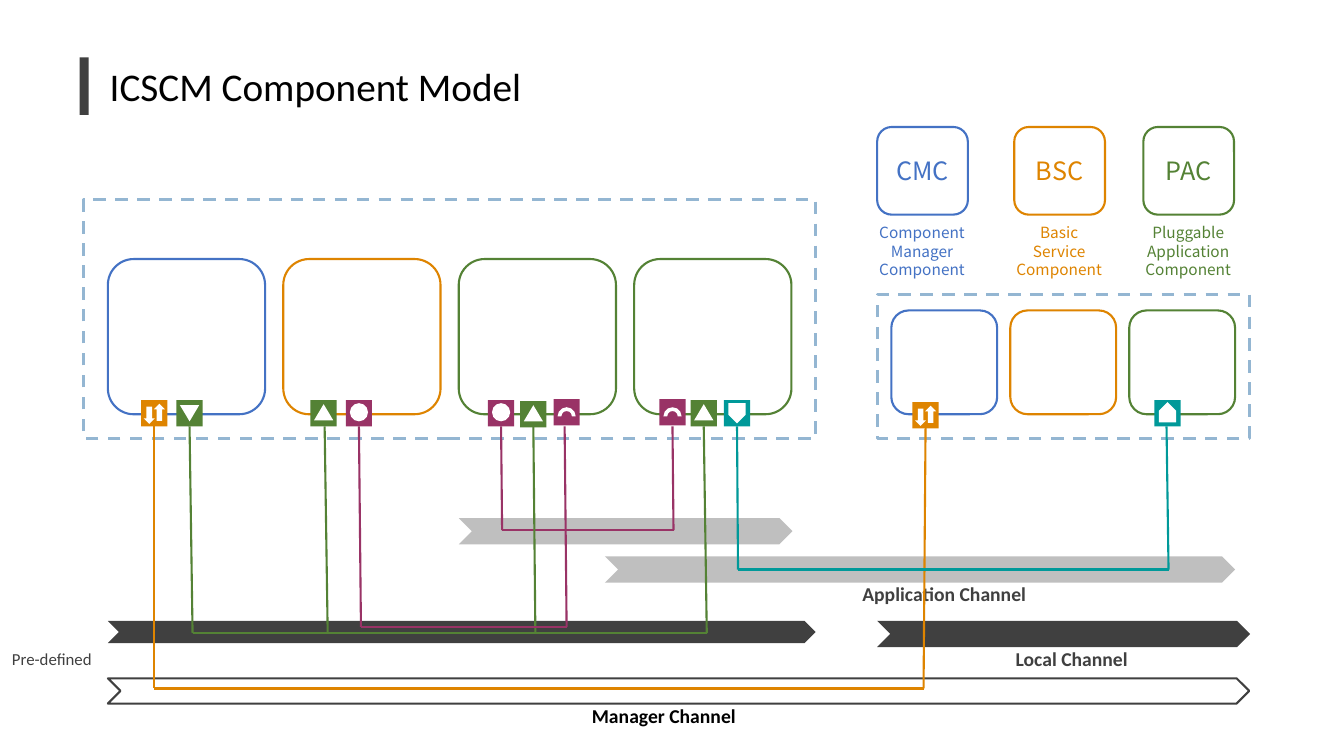
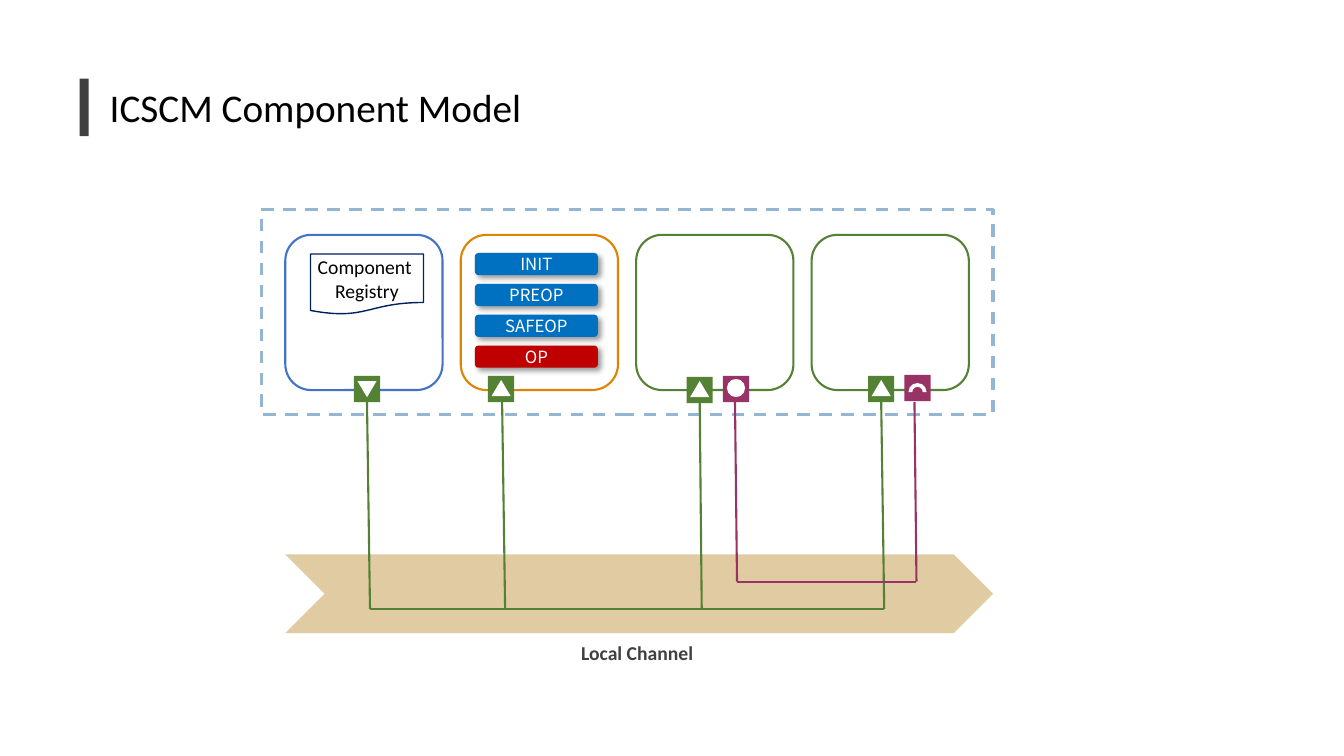
from dataclasses import dataclass
from typing import Optional

from lxml import etree
from pptx import Presentation
from pptx.dml.color import RGBColor
from pptx.enum.dml import MSO_LINE
from pptx.enum.shapes import MSO_CONNECTOR, MSO_SHAPE
from pptx.enum.text import MSO_ANCHOR, PP_ALIGN
from pptx.oxml.ns import qn
from pptx.util import Inches, Pt

RECT = MSO_SHAPE.RECTANGLE
ROUND = MSO_SHAPE.ROUNDED_RECTANGLE
CHEVRON = MSO_SHAPE.CHEVRON
TRIANGLE = MSO_SHAPE.ISOSCELES_TRIANGLE
OVAL = MSO_SHAPE.OVAL
ARC = MSO_SHAPE.BLOCK_ARC
ARROW = MSO_SHAPE.RIGHT_ARROW
PENTAGON = MSO_SHAPE.PENTAGON
DOCUMENT = MSO_SHAPE.FLOWCHART_DOCUMENT
STRAIGHT = MSO_CONNECTOR.STRAIGHT
DASH = MSO_LINE.DASH
LEFT, CENTER = PP_ALIGN.LEFT, PP_ALIGN.CENTER
TOP, MIDDLE = MSO_ANCHOR.TOP, MSO_ANCHOR.MIDDLE

BLUE = RGBColor(0x44, 0x72, 0xC4)
ORANGE = RGBColor(0xDE, 0x84, 0x00)
GREEN = RGBColor(0x54, 0x82, 0x35)
PLUM = RGBColor(0x99, 0x33, 0x66)
TEAL = RGBColor(0x00, 0x99, 0x99)
PALE_BLUE = RGBColor(0x94, 0xB6, 0xD2)
DARK = RGBColor(0x40, 0x40, 0x40)
GREY = RGBColor(0xBF, 0xBF, 0xBF)
SAND = RGBColor(0xE0, 0xCB, 0xA3)
NAVY = RGBColor(0x00, 0x20, 0x60)
STATE_BLUE = RGBColor(0x00, 0x70, 0xC0)
STATE_RED = RGBColor(0xC0, 0x00, 0x00)
BLACK = RGBColor(0x00, 0x00, 0x00)
WHITE = RGBColor(0xFF, 0xFF, 0xFF)

CELL = Inches(0.1)
BODY, LABEL = "Calibri", "Noto Sans CJK SC"
PORT_SIZE = 2.6


@dataclass(frozen=True)
class Box:
    x: float
    y: float
    w: float
    h: float


@dataclass(frozen=True)
class Font:
    size: float
    color: RGBColor
    name: str = BODY
    bold: bool = False


@dataclass(frozen=True)
class Glyph:
    shape: int
    w: float
    h: float
    dx: float = 0
    dy: float = 0
    turn: int = 0
    adjust: tuple[float, ...] = ()


@dataclass(frozen=True)
class PortKind:
    color: RGBColor
    glyphs: tuple[Glyph, ...]


@dataclass(frozen=True)
class Port:
    kind: PortKind
    x: float
    y: float


@dataclass(frozen=True)
class Wire:
    color: RGBColor
    top: float
    bus: float
    stems: tuple[tuple[float, float], ...]


@dataclass(frozen=True)
class Channel:
    box: Box
    fill: Optional[RGBColor]


@dataclass(frozen=True)
class Caption:
    text: str
    box: Box
    font: Font


@dataclass(frozen=True)
class Legend:
    code: str
    words: tuple[str, ...]
    x: float
    color: RGBColor


@dataclass(frozen=True)
class State:
    name: str
    color: RGBColor


SWAP = PortKind(ORANGE, (Glyph(ARROW, 1.7, 1.1, -0.5, 0.2, 90), Glyph(ARROW, 1.7, 1.1, 0.5, -0.1, 270)))
DOWN = PortKind(GREEN, (Glyph(TRIANGLE, 1.9, 1.6, turn=180),))
UP = PortKind(GREEN, (Glyph(TRIANGLE, 1.9, 1.6, dy=-0.1),))
BALL = PortKind(PLUM, (Glyph(OVAL, 1.8, 1.8, dy=-0.1),))
SOCKET = PortKind(PLUM, (Glyph(ARC, 1.8, 1.8, dy=0.4, adjust=(108, 216, 0.21)),))
SEND = PortKind(TEAL, (Glyph(PENTAGON, 2, 1.7, turn=90),))
RECEIVE = PortKind(TEAL, (Glyph(PENTAGON, 2, 1.7, dy=-0.1, turn=270),))

CARD_COLORS = (BLUE, ORANGE, GREEN, GREEN)
CHANNEL_FONT = Font(14, DARK, bold=True)


def add_shape(s, kind: int, box: Box, fill: Optional[RGBColor] = None,
              line: Optional[RGBColor] = None, width: float = 1.5):
    sp = s.shapes.add_shape(kind, *(round(v * CELL) for v in (box.x, box.y, box.w, box.h)))
    sp.shadow.inherit = False
    if fill is None:
        sp.fill.background()
    else:
        sp.fill.solid()
        sp.fill.fore_color.rgb = fill
    if line is None:
        sp.line.fill.background()
    else:
        sp.line.color.rgb = line
        sp.line.width = Pt(width)
    return sp


def write(sp, lines: tuple[str, ...], font: Font, align=CENTER, anchor=TOP,
          wrap: bool = True, spacing: Optional[float] = None) -> None:
    tf = sp.text_frame
    tf.word_wrap = wrap
    tf.vertical_anchor = anchor
    for i, line in enumerate(lines):
        p = tf.paragraphs[0] if i == 0 else tf.add_paragraph()
        p.alignment = align
        if spacing:
            p.line_spacing = Pt(spacing)
        r = p.add_run()
        r.text = line
        r.font.size = Pt(font.size)
        r.font.name = font.name
        r.font.bold = font.bold
        r.font.color.rgb = font.color


def add_text(s, box: Box, lines: tuple[str, ...], font: Font, **layout) -> None:
    sp = s.shapes.add_textbox(*(round(v * CELL) for v in (box.x, box.y, box.w, box.h)))
    write(sp, lines, font, **layout)


def add_title(s, row: float) -> None:
    add_text(s, Box(9.9, row, 50, 5.7), ("ICSCM Component Model",), Font(28, BLACK), align=LEFT)
    add_shape(s, RECT, Box(7.9, row, 0.9, 5.7), fill=DARK)


def add_frame(s, box: Box) -> None:
    add_shape(s, RECT, box, line=PALE_BLUE, width=2.25).line.dash_style = DASH


def add_cards(s, first: Box, pitch: float, colors: tuple[RGBColor, ...]) -> None:
    for i, color in enumerate(colors):
        add_shape(s, ROUND, Box(first.x + i * pitch, first.y, first.w, first.h), line=color)


def add_channel(s, channel: Channel) -> None:
    outline = DARK if channel.fill is None else None
    add_shape(s, CHEVRON, channel.box, channel.fill, outline)


def add_caption(s, caption: Caption) -> None:
    add_text(s, caption.box, (caption.text,), caption.font, wrap=False)


def add_line(s, x1: float, y1: float, x2: float, y2: float, color: RGBColor) -> None:
    c = s.shapes.add_connector(STRAIGHT, *(round(v * CELL) for v in (x1, y1, x2, y2)))
    c.line.color.rgb = color
    c.line.width = Pt(1.5)
    etree.SubElement(c._element.spPr, qn("a:effectLst"))


def add_wire(s, wire: Wire) -> None:
    for head, foot in wire.stems:
        add_line(s, head, wire.top, foot, wire.bus, wire.color)
    add_line(s, wire.stems[0][1], wire.bus, wire.stems[-1][1], wire.bus, wire.color)


def add_port(s, port: Port) -> None:
    add_shape(s, RECT, Box(port.x, port.y, PORT_SIZE, PORT_SIZE), fill=port.kind.color)
    cx, cy = port.x + PORT_SIZE / 2, port.y + PORT_SIZE / 2
    for g in port.kind.glyphs:
        sp = add_shape(s, g.shape, Box(cx + g.dx - g.w / 2, cy + g.dy - g.h / 2, g.w, g.h), fill=WHITE)
        sp.rotation = g.turn
        for i, value in enumerate(g.adjust):
            sp.adjustments[i] = value


def add_legend(s, legend: Legend) -> None:
    sp = add_shape(s, ROUND, Box(legend.x, 12.6, 9, 8.7), line=legend.color)
    write(sp, (legend.code,), Font(18, legend.color, LABEL), anchor=MIDDLE)
    add_text(s, Box(legend.x - 1.5, 21.6, 11.9, 6.6), legend.words,
             Font(11, legend.color, LABEL), spacing=13.4)


def add_state(s, state: State, row: float) -> None:
    sp = add_shape(s, ROUND, Box(47.1, row, 12.2, 2.2), fill=state.color)
    effects = sp._element.spPr.find(qn("a:effectLst"))
    shadow = etree.SubElement(effects, qn("a:outerShdw"), blurRad=str(Pt(4)), dist=str(Pt(3)),
                              dir="2700000", algn="tl", rotWithShape="0")
    tint = etree.SubElement(shadow, qn("a:srgbClr"), val=str(BLACK))
    etree.SubElement(tint, qn("a:alpha"), val="40000")
    write(sp, (state.name,), Font(12, WHITE, LABEL), anchor=MIDDLE)


def add_network(s, channels: tuple[Channel, ...], captions: tuple[Caption, ...],
                wires: tuple[Wire, ...], ports: tuple[Port, ...]) -> None:
    for draw, items in ((add_channel, channels), (add_caption, captions),
                        (add_wire, wires), (add_port, ports)):
        for item in items:
            draw(s, item)


def build_overview(s) -> None:
    add_title(s, 5.7)
    add_frame(s, Box(8.3, 19.8, 72.6, 23.7))
    add_frame(s, Box(87, 29.2, 36.9, 14.3))
    add_cards(s, Box(10.7, 25.7, 15.6, 15.4), 17.4, CARD_COLORS)
    add_cards(s, Box(88.4, 30.8, 10.5, 10.3), 11.8, CARD_COLORS[:3])
    for legend in (Legend("CMC", ("Component", "Manager", "Component"), 87, BLUE),
                   Legend("BSC", ("Basic", "Service", "Component"), 100.6, ORANGE),
                   Legend("PAC", ("Pluggable", "Application", "Component"), 113.4, GREEN)):
        add_legend(s, legend)
    add_network(
        s,
        (Channel(Box(10.7, 67.3, 113.2, 2.5), None),
         Channel(Box(45.5, 51.4, 33.1, 2.6), GREY),
         Channel(Box(60, 55.2, 62.5, 2.6), GREY),
         Channel(Box(10.7, 61.6, 70.2, 2.2), DARK),
         Channel(Box(87, 61.6, 37, 2.6), DARK)),
        (Caption("Manager Channel", Box(57, 69.3, 17.7, 3.4), Font(14, BLACK, bold=True)),
         Caption("Application Channel", Box(83.7, 57.2, 19.9, 3.4), CHANNEL_FONT),
         Caption("Local Channel", Box(99.1, 63.7, 14.4, 3.4), CHANNEL_FONT),
         Caption("Pre-defined", Box(-0.2, 63.9, 10.7, 3), Font(12, DARK))),
        (Wire(PLUM, 42.3, 52.6, ((49.7, 49.8), (66.7, 66.8))),
         Wire(ORANGE, 42.3, 68.3, ((15.3, 15.3), (91.8, 91.6))),
         Wire(GREEN, 42.3, 62.8, ((18.8, 19.1), (32.2, 32.5), (52.9, 53.1), (69.8, 70.1))),
         Wire(TEAL, 42.3, 56.5, ((73.1, 73.2), (115.7, 115.9))),
         Wire(PLUM, 42.3, 62.2, ((35.6, 35.8), (56, 56.2)))),
        (Port(SWAP, 14, 39.7), Port(DOWN, 17.5, 39.7),
         Port(UP, 30.8, 39.7), Port(BALL, 34.3, 39.7),
         Port(BALL, 48.4, 39.7), Port(UP, 51.6, 39.8), Port(SOCKET, 54.9, 39.6),
         Port(SOCKET, 65.4, 39.6), Port(UP, 68.5, 39.7), Port(SEND, 71.8, 39.7),
         Port(SWAP, 90.5, 39.9), Port(RECEIVE, 114.5, 39.7)))


def build_local_channel(s) -> None:
    add_title(s, 7.8)
    add_frame(s, Box(25.9, 20.8, 72.6, 20.3))
    add_cards(s, Box(28.3, 23.3, 15.6, 15.4), 17.4, CARD_COLORS)
    add_text(s, Box(29.7, 24.8, 13.4, 5.7), ("Component ", "Registry"), Font(14, BLACK))
    add_shape(s, DOCUMENT, Box(30.8, 25.2, 11.2, 6), line=NAVY, width=1)
    states = (State("INIT", STATE_BLUE), State("PREOP", STATE_BLUE),
              State("SAFEOP", STATE_BLUE), State("OP", STATE_RED))
    for i, state in enumerate(states):
        add_state(s, state, 25.1 + 3.06 * i)
    add_network(
        s,
        (Channel(Box(28.3, 55, 70.2, 7.8), SAND),),
        (Caption("Local Channel", Box(56, 63.1, 14.4, 3.4), CHANNEL_FONT),),
        (Wire(GREEN, 39.9, 60.4, ((36.4, 36.7), (49.8, 50.1), (69.4, 69.6), (87.4, 87.7))),
         Wire(PLUM, 39.9, 57.7, ((72.9, 73.1), (90.7, 90.9)))),
        (Port(DOWN, 35.1, 37.3), Port(UP, 48.4, 37.3),
         Port(UP, 68.1, 37.4), Port(BALL, 71.7, 37.3),
         Port(UP, 86.1, 37.3), Port(SOCKET, 89.7, 37.2)))


prs = Presentation()
prs.slide_width, prs.slide_height = Inches(13.33), Inches(7.5)
for build in (build_overview, build_local_channel):
    build(prs.slides.add_slide(prs.slide_layouts[6]))
prs.save("out.pptx")
